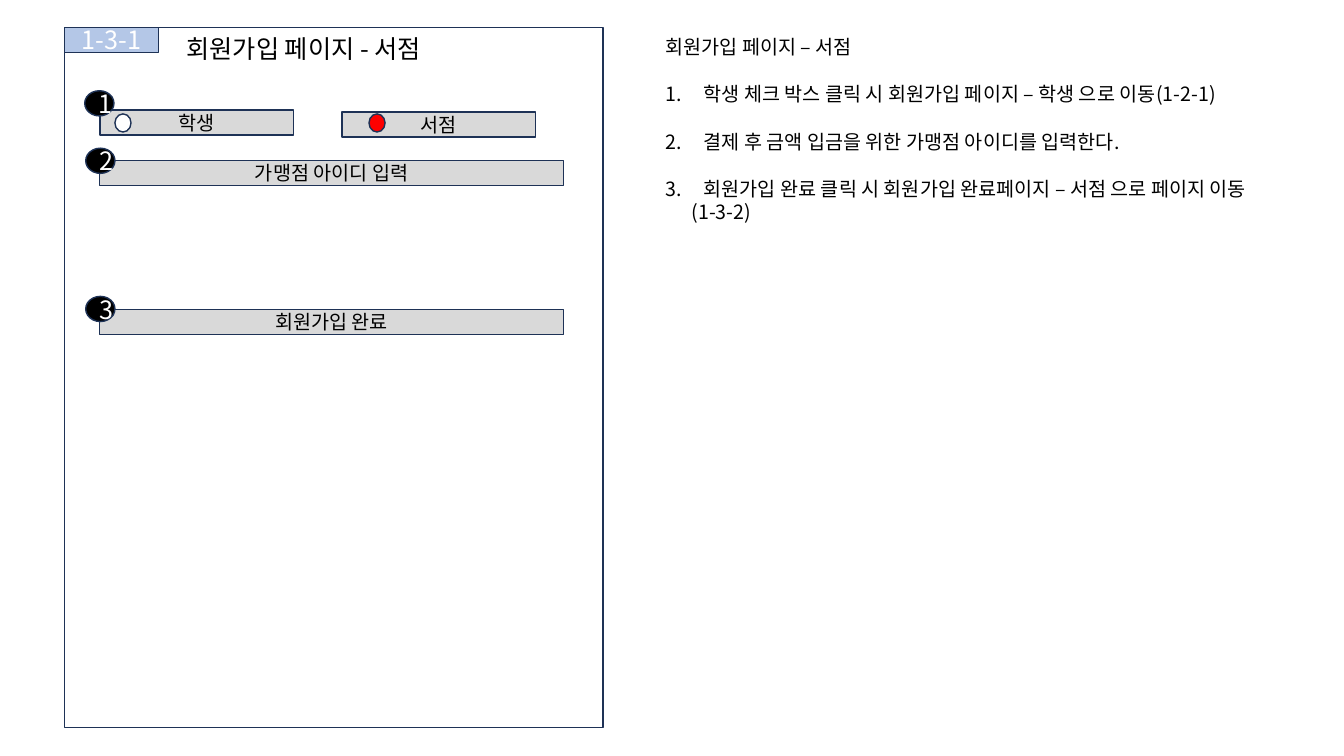
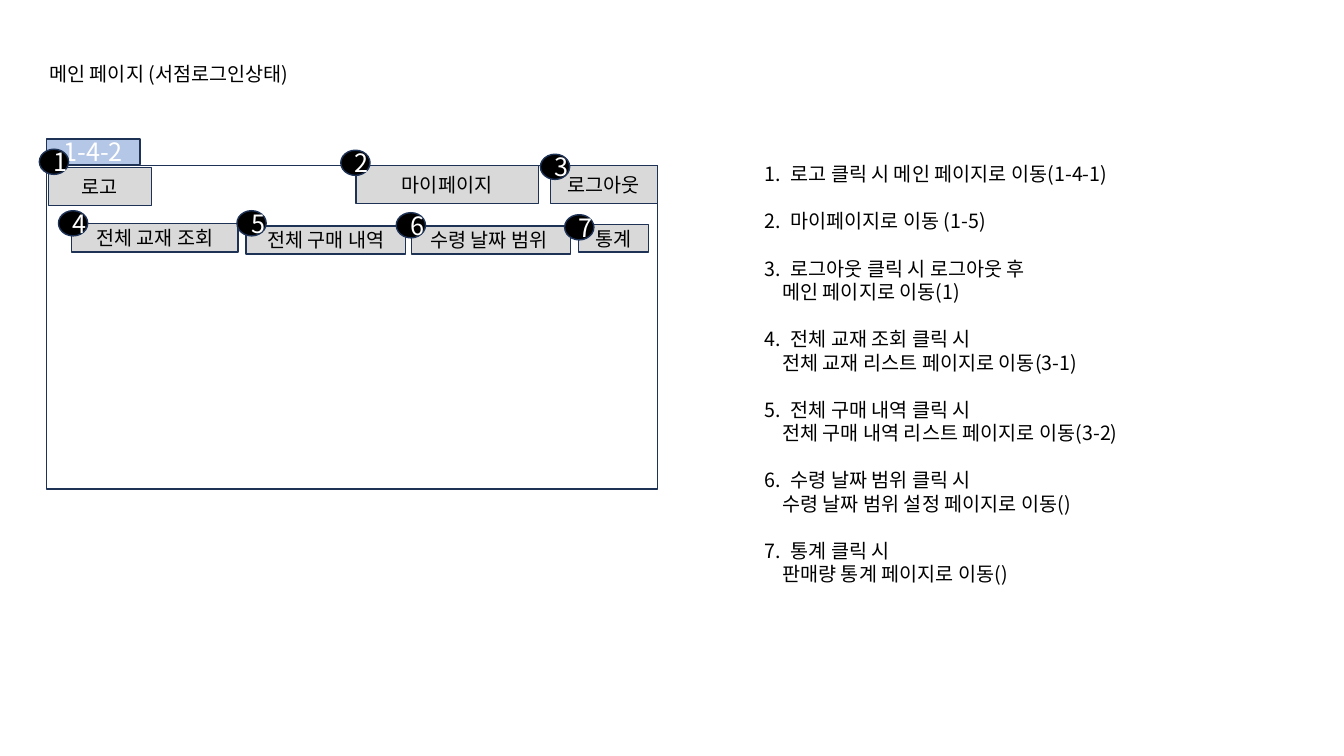
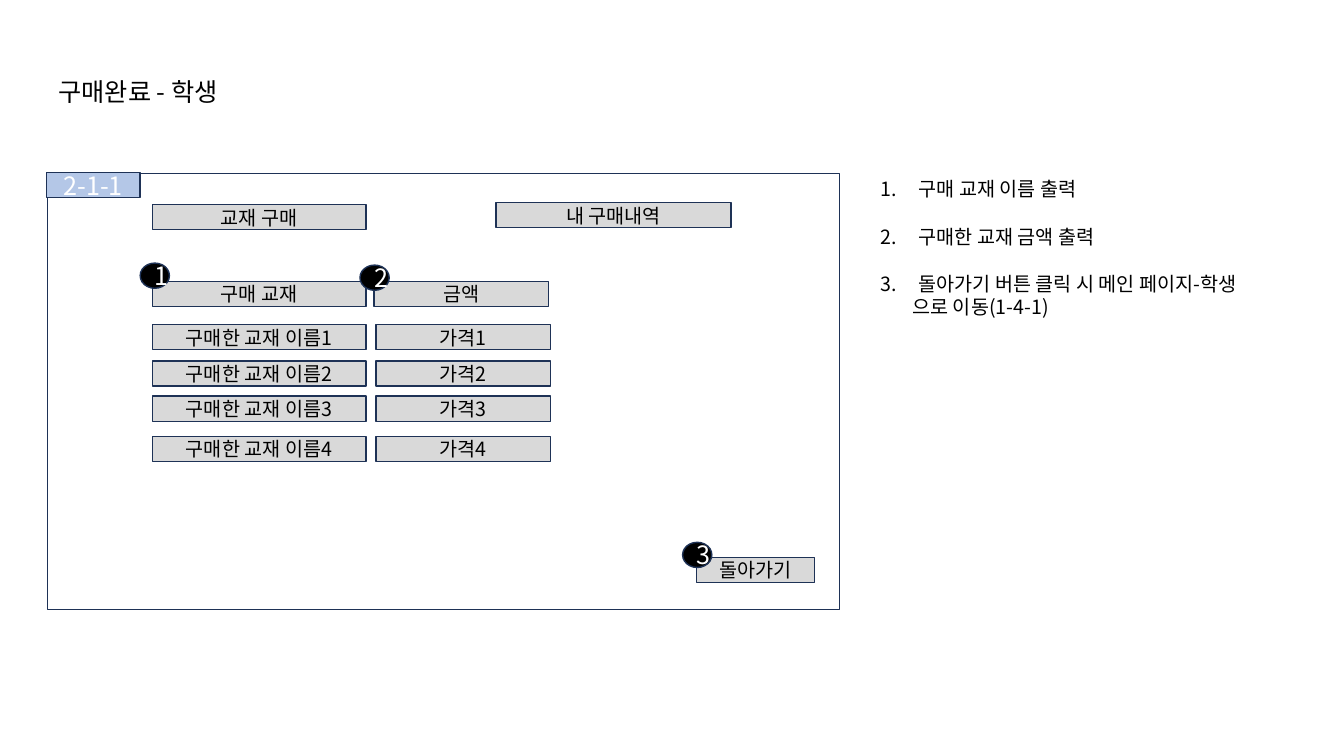
"""Build three storyboard pages of a textbook shop: join, main and purchase."""
from dataclasses import dataclass, field
from typing import Optional

from lxml.etree import SubElement
from pptx import Presentation
from pptx.dml.color import RGBColor
from pptx.enum.shapes import MSO_SHAPE
from pptx.enum.text import MSO_ANCHOR, MSO_AUTO_SIZE, PP_ALIGN
from pptx.oxml.ns import qn
from pptx.util import Inches, Pt

FONT = "Noto Sans CJK KR"
BLACK = RGBColor(0x00, 0x00, 0x00)
WHITE = RGBColor(0xFF, 0xFF, 0xFF)
NAVY = RGBColor(0x1E, 0x32, 0x56)
BLUE = RGBColor(0xB4, 0xC7, 0xE7)
GRAY = RGBColor(0xD9, 0xD9, 0xD9)
RED = RGBColor(0xFF, 0x00, 0x00)
SMALL, LARGE = 14, 18
LEADING = 1.2
RECT, OVAL = MSO_SHAPE.RECTANGLE, MSO_SHAPE.OVAL
ROW = 0.25


@dataclass(frozen=True)
class Box:
    """Place and size in inches."""
    left: float
    top: float
    width: float
    height: float = ROW


@dataclass(frozen=True)
class Button:
    """Gray labelled box of the mock-up."""
    text: str
    box: Box


@dataclass(frozen=True)
class Radio:
    """Round choice mark."""
    left: float
    top: float
    color: RGBColor


@dataclass(frozen=True)
class Note:
    """Numbered remark with an optional second line."""
    text: str
    more: str = ""


@dataclass(frozen=True)
class Notes:
    """Numbered list with its indents in inches."""
    box: Box
    items: list[Note]
    margin: float = 0.38
    hang: float = 0.38
    inner: float = 0.26
    head: str = ""


@dataclass(frozen=True)
class Page:
    """One storyboard page; badges are listed in number order."""
    code: str
    title: str
    place: Box
    panel: Box
    tag: tuple[float, float]
    buttons: list[Button]
    badges: list[tuple[float, float]]
    notes: Notes
    size: int = LARGE
    radios: list[Radio] = field(default_factory=list)


def put(shape, box: Box) -> None:
    """Move a shape to its box."""
    shape.left, shape.top = Inches(box.left), Inches(box.top)
    shape.width, shape.height = Inches(box.width), Inches(box.height)


def style(para, size: int, color: RGBColor, align=PP_ALIGN.LEFT) -> None:
    """Set font, alignment and line height of a paragraph."""
    para.alignment = align
    para.line_spacing = Pt(round(size * LEADING, 1))
    font = para.font
    font.name, font.size, font.bold = FONT, Pt(size), False
    font.color.rgb = color
    props = para._p.get_or_add_pPr().get_or_add_defRPr()
    SubElement(props, qn("a:ea"), typeface=FONT)


def draw(slide, kind, box: Box, fill: RGBColor, text: str = "",
         size: int = SMALL, color: RGBColor = BLACK):
    """Add an outlined shape with centred text."""
    shape = slide.shapes.add_shape(kind, 0, 0, 0, 0)
    put(shape, box)
    shape.shadow.inherit = False
    shape.fill.solid()
    shape.fill.fore_color.rgb = fill
    shape.line.color.rgb = NAVY
    shape.line.width = Pt(1)
    if text:
        frame = shape.text_frame
        frame.vertical_anchor = MSO_ANCHOR.MIDDLE
        frame.text = text
        style(frame.paragraphs[0], size, color, PP_ALIGN.CENTER)
    return shape


def settle(holder, box: Box):
    """Place a placeholder and return its plain text frame."""
    put(holder, box)
    frame = holder.text_frame
    frame.word_wrap = True
    frame.auto_size = MSO_AUTO_SIZE.NONE
    frame.vertical_anchor = MSO_ANCHOR.TOP
    return frame


def write(para, text: str, margin: float, hang: float,
          number: Optional[int], gap: bool) -> None:
    """Fill one line of a list."""
    para.text = text
    para.line_spacing = Pt(SMALL * LEADING)
    para.space_before = Pt(SMALL * LEADING if gap else 0)
    para.space_after = Pt(0)
    props = para._p.get_or_add_pPr()
    props.set("marL", str(Inches(margin)))
    props.set("indent", str(-Inches(hang)))
    if number is None:
        SubElement(props, qn("a:buNone"))
    else:
        SubElement(props, qn("a:buFont"), typeface=FONT)
        SubElement(props, qn("a:buAutoNum"), type="arabicPeriod",
                   startAt=str(number))
    style(para, SMALL, BLACK)


def fill_notes(holder, notes: Notes) -> None:
    """Write the numbered list into the body placeholder."""
    frame = settle(holder, notes.box)
    lines = [(notes.head, 0, 0, None, False)] if notes.head else []
    for number, note in enumerate(notes.items, 1):
        lines.append((note.text, notes.margin, notes.hang, number, bool(lines)))
        if note.more:
            lines.append((note.more, notes.inner, 0, None, False))
    for index, line in enumerate(lines):
        para = frame.add_paragraph() if index else frame.paragraphs[0]
        write(para, *line)


def build(deck, page: Page) -> None:
    """Add one page to the deck."""
    slide = deck.slides.add_slide(deck.slide_layouts[1])
    frame = settle(slide.shapes.title, page.place)
    frame.text = page.title
    style(frame.paragraphs[0], page.size, BLACK)
    fill_notes(slide.placeholders[1], page.notes)
    panel = draw(slide, RECT, page.panel, WHITE)
    slide.shapes._spTree.insert(2, panel._element)
    draw(slide, RECT, Box(*page.tag, 0.93), BLUE, page.code, LARGE, WHITE)
    for button in page.buttons:
        draw(slide, RECT, button.box, GRAY, button.text)
    for radio in page.radios:
        draw(slide, OVAL, Box(radio.left, radio.top, 0.16, 0.18), radio.color)
    for number, spot in enumerate(page.badges, 1):
        draw(slide, OVAL, Box(*spot, 0.29), BLACK, str(number), LARGE, WHITE)


JOIN = Page(
    code="1-3-1", title="회원가입 페이지 - 서점".replace("-", "-"),
    place=Box(1.75, 0.28, 3.63, 0.4), panel=Box(0.64, 0.27, 5.34, 6.95),
    tag=(0.64, 0.27),
    buttons=[
        Button("학생", Box(0.99, 1.09, 1.92)),
        Button("서점", Box(3.39, 1.11, 1.92)),
        Button("가맹점 아이디 입력", Box(0.99, 1.59, 4.6)),
        Button("회원가입 완료", Box(0.99, 3.07, 4.6)),
    ],
    radios=[Radio(1.14, 1.13, WHITE), Radio(3.66, 1.13, RED)],
    badges=[(0.84, 0.9), (0.85, 1.47), (0.85, 2.94)],
    notes=Notes(Box(6.5, 0.3, 6.72, 1.99), [
        Note("학생 체크 박스 클릭 시 회원가입 페이지 – 학생 으로 이동(1-2-1)"),
        Note("결제 후 금액 입금을 위한 가맹점 아이디를 입력한다."),
        Note("회원가입 완료 클릭 시 회원가입 완료페이지 – 서점 으로 페이지 이동",
             "(1-3-2)"),
    ], head="회원가입 페이지 – 서점"),
)

MAIN = Page(
    code="1-4-2", title="메인 페이지 (서점로그인상태)", size=SMALL,
    place=Box(0.39, 0.56, 6.72, 0.34), panel=Box(0.46, 1.64, 6.06, 3.21),
    tag=(0.46, 1.38),
    buttons=[
        Button("로고", Box(0.48, 1.66, 1.02, 0.38)),
        Button("마이페이지", Box(3.53, 1.64, 1.81, 0.38)),
        Button("로그아웃", Box(5.46, 1.64, 1.06, 0.38)),
        Button("전체 교재 조회", Box(0.71, 2.22, 1.65, 0.28)),
        Button("전체 구매 내역", Box(2.44, 2.24, 1.58, 0.28)),
        Button("수령 날짜 범위 ", Box(4.08, 2.24, 1.58, 0.28)),
        Button("통계", Box(5.74, 2.23, 0.69, 0.27)),
    ],
    badges=[(0.39, 1.48), (3.38, 1.49), (5.36, 1.53), (0.58, 2.09),
            (2.35, 2.09), (3.93, 2.11), (5.6, 2.13)],
    notes=Notes(Box(7.45, 1.56, 4.64, 4.34), [
        Note("로고 클릭 시 메인 페이지로 이동(1-4-1)"),
        Note("마이페이지로 이동 (1-5)"),
        Note("로그아웃 클릭 시 로그아웃 후", "메인 페이지로 이동(1)"),
        Note("전체 교재 조회 클릭 시", "전체 교재 리스트 페이지로 이동(3-1)"),
        Note("전체 구매 내역 클릭 시", "전체 구매 내역 리스트 페이지로 이동(3-2)"),
        Note("수령 날짜 범위 클릭 시", "수령 날짜 범위 설정 페이지로 이동()"),
        Note("통계 클릭 시", "판매량 통계 페이지로 이동()"),
    ], margin=0.29, hang=0.26, inner=0.21),
)

ROWS = [
    button
    for number, top in enumerate((3.22, 3.58, 3.93, 4.33), 1)
    for button in (
        Button(f"구매한 교재 이름{number}", Box(1.51, top, 2.12)),
        Button(f"가격{number}", Box(3.73, top, 1.73)),
    )
]

BOUGHT = Page(
    code="2-1-1", title="구매완료 - 학생",
    place=Box(0.48, 0.71, 3, 0.4), panel=Box(0.47, 1.72, 7.86, 4.33),
    tag=(0.46, 1.71),
    buttons=[
        Button("교재 구매", Box(1.51, 2.03, 2.12)),
        Button("내 구매내역", Box(4.92, 2.01, 2.33)),
        Button("구매 교재", Box(1.51, 2.79, 2.12)),
        Button("금액", Box(3.71, 2.79, 1.73)),
        *ROWS,
        Button("돌아가기", Box(6.91, 5.53, 1.17)),
    ],
    badges=[(1.39, 2.61), (3.57, 2.63), (6.77, 5.38)],
    notes=Notes(Box(8.63, 1.71, 4.7, 1.51), [
        Note("구매 교재 이름 출력"),
        Note("구매한 교재 금액 출력"),
        Note("돌아가기 버튼 클릭 시 메인 페이지-학생", "으로 이동(1-4-1)"),
    ], inner=0.32),
)


def main() -> None:
    """Build and save the deck."""
    deck = Presentation()
    deck.slide_width, deck.slide_height = Inches(13.33), Inches(7.5)
    for page in (JOIN, MAIN, BOUGHT):
        build(deck, page)
    deck.save("out.pptx")


main()
